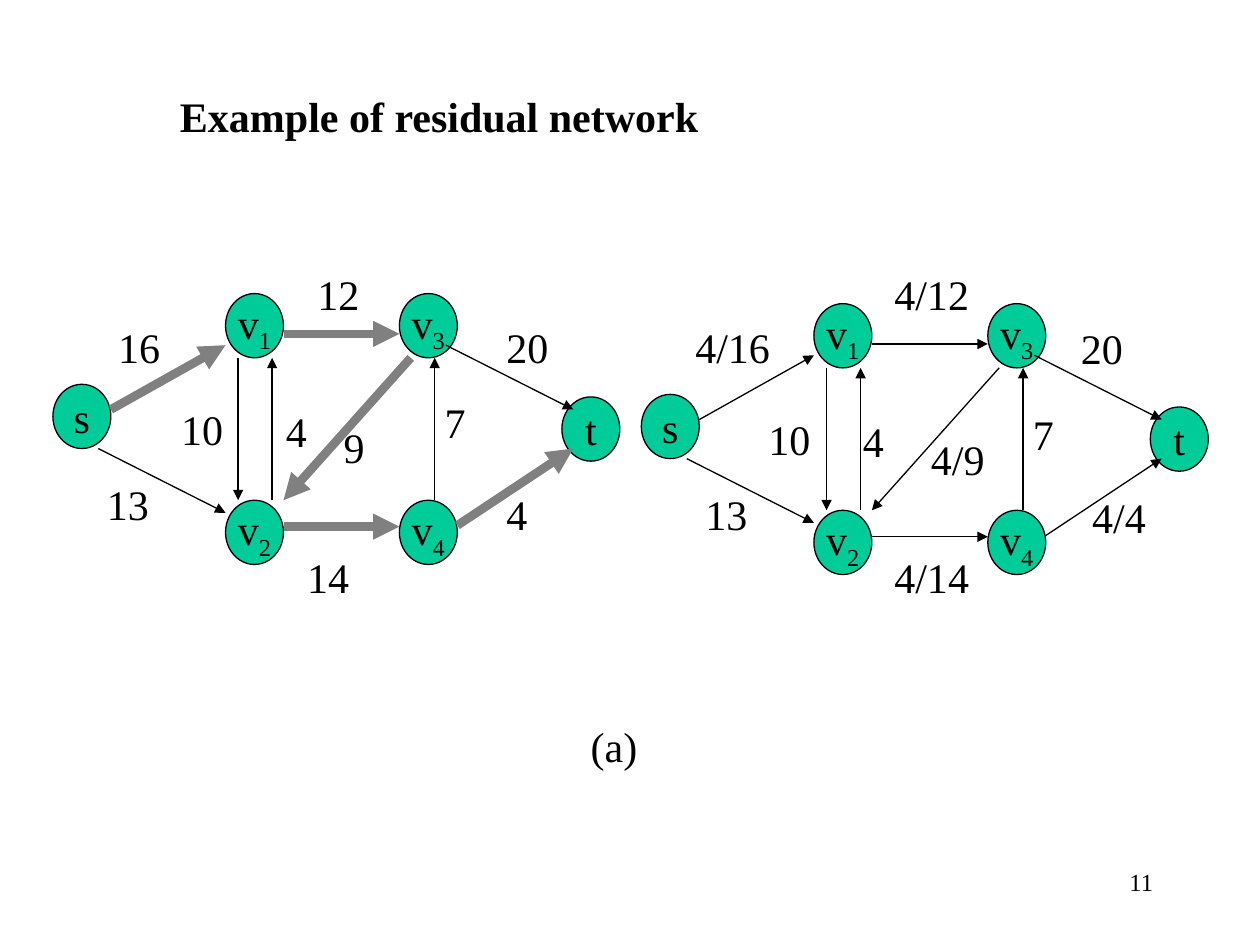
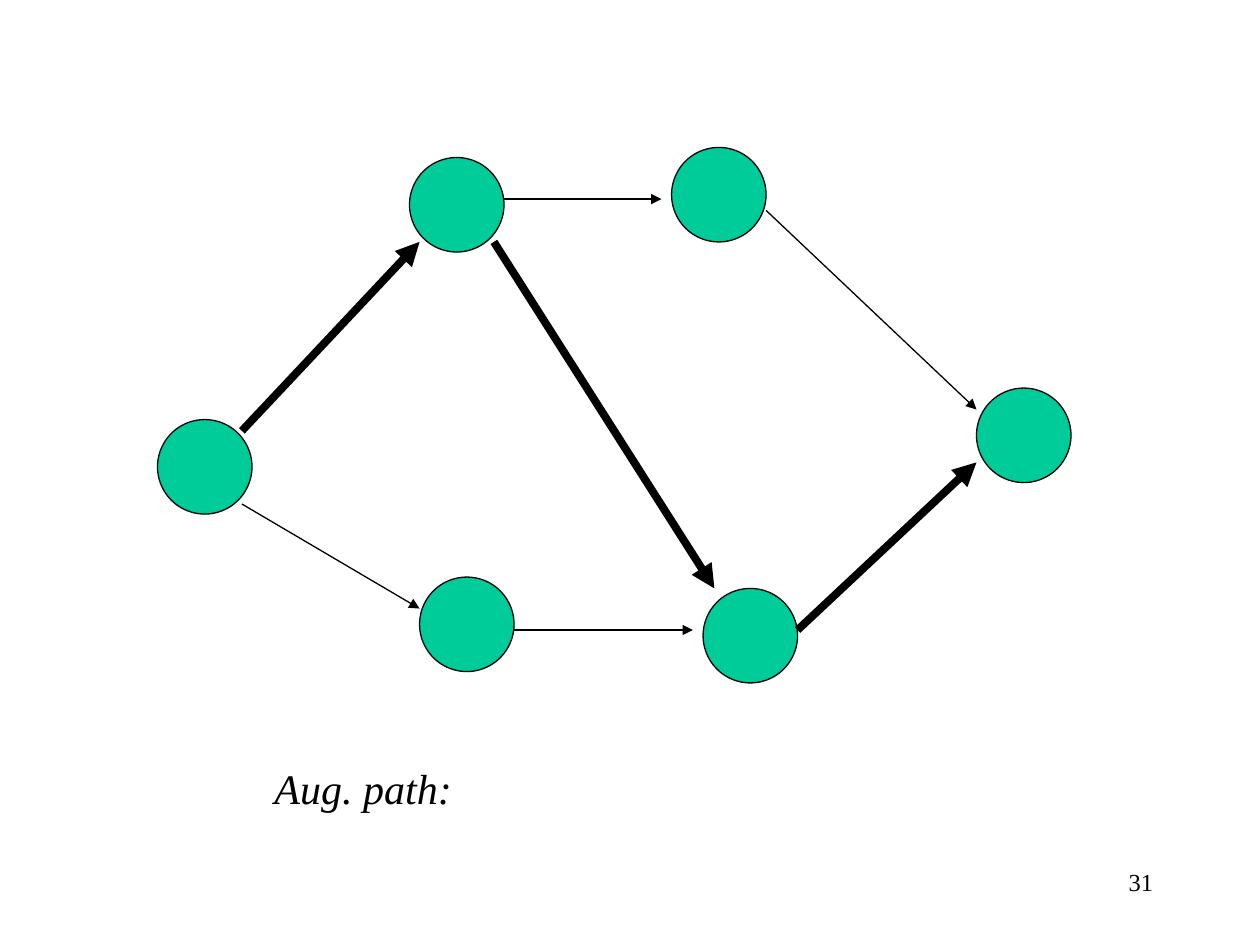
from lxml import etree
from pptx import Presentation
from pptx.dml.color import RGBColor
from pptx.enum.shapes import MSO_CONNECTOR, MSO_SHAPE
from pptx.enum.text import MSO_ANCHOR, MSO_AUTO_SIZE, PP_ALIGN
from pptx.oxml.ns import qn
from pptx.util import Inches, Pt

OVAL = MSO_SHAPE.OVAL
STRAIGHT = MSO_CONNECTOR.STRAIGHT
MIDDLE = MSO_ANCHOR.MIDDLE
FIT_SHAPE = MSO_AUTO_SIZE.SHAPE_TO_FIT_TEXT
LEFT, CENTER, RIGHT = PP_ALIGN.LEFT, PP_ALIGN.CENTER, PP_ALIGN.RIGHT

COLORS = {"ink": "000000", "node": "00CC99", "path": "808080"}
FONT = "Times New Roman"
THIN = 0.75

# Flow network: node positions and edges, relative to the network's origin
NODE_SIZE = (0.46, 0.51)
NODES = {
    "s": (0.42, 3.05), "v1": (1.79, 2.33), "v2": (1.79, 3.97),
    "v3": (3.17, 2.33), "v4": (3.17, 3.97), "t": (4.46, 3.15),
}
EDGES = {
    "s-v1": (0.88, 3.25, 1.79, 2.74), "s-v2": (0.78, 3.56, 1.79, 4.07),
    "v1-v3": (2.25, 2.65, 3.17, 2.65), "v3-t": (3.54, 2.74, 4.55, 3.25),
    "v2-v4": (2.25, 4.18, 3.17, 4.18), "v4-t": (3.63, 4.17, 4.55, 3.56),
    "v1-v2": (1.89, 2.84, 1.89, 3.97), "v2-v1": (2.16, 3.97, 2.16, 2.84),
    "v4-v3": (3.45, 3.97, 3.45, 2.84), "v3-v2": (3.26, 2.84, 2.25, 3.97),
}
AUGMENTING_EDGES = {"s-v1", "v1-v3", "v3-v2", "v2-v4", "v4-t"}
CAPACITY_LABELS = [
    ("16", 0.84, 2.5), ("13", 0.75, 3.75), ("12", 2.42, 2.08),
    ("10", 1.34, 3.15), ("4", 2.17, 3.17), ("9", 2.63, 3.3),
    ("7", 3.43, 3.1), ("20", 3.92, 2.5), ("4", 3.92, 3.83),
    ("14", 2.34, 4.33),
]
FLOW_LABELS = [
    ("4/16", 5.42, 2.5), ("13", 5.5, 3.83), ("4/12", 7, 2.08),
    ("10", 6, 3.23), ("4", 6.75, 3.25), ("4/9", 7.29, 3.39),
    ("7", 8.1, 3.19), ("20", 8.48, 2.51), ("4/4", 8.57, 3.85),
    ("4/14", 7, 4.33),
]

# Augmenting path slide
CIRCLE_SIZE = (0.75, 0.75)
CIRCLES = [(1.25, 3.33), (3.33, 4.58), (3.25, 1.25),
           (7.75, 3.08), (5.58, 4.67), (5.33, 1.17)]
PATH_ARROWS = [(1.92, 3.42, 3.33, 1.92), (3.92, 1.92, 5.67, 4.67),
               (6.33, 5, 7.75, 3.67)]
OTHER_ARROWS = [(1.92, 4, 3.33, 4.83), (4, 1.58, 5.25, 1.58),
                (4.08, 5, 5.5, 5), (6.08, 1.67, 7.75, 3.25)]


def rgb(name):
    return RGBColor.from_string(COLORS[name])


class Deck:
    def __init__(self):
        self.prs = Presentation()
        self.prs.slide_width, self.prs.slide_height = Inches(10), Inches(7.5)
        self.s = None

    def slide(self, number):
        self.s = self.prs.slides.add_slide(self.prs.slide_layouts[6])
        self.text(str(number), 7.17, 6.83, 2.08, size=14, align=RIGHT)

    def style(self, p, size=24, align=LEFT, bold=False, italic=False):
        p.alignment = align
        f = p.font
        f.name, f.size, f.bold, f.italic = FONT, Pt(size), bold, italic
        f.color.rgb = rgb("ink")

    def text(self, text, x, y, w, wrap=True, **style):
        sp = self.s.shapes.add_textbox(Inches(x), Inches(y), Inches(w), Inches(0.5))
        tf = sp.text_frame
        tf.word_wrap = wrap
        tf.auto_size = FIT_SHAPE
        p = tf.paragraphs[0]
        p.add_run().text = text
        self.style(p, **style)

    def label(self, text, x, y):
        """Edge label whose box is as wide as its digits and slashes."""
        width = 0.2 + sum(0.09 if c == "/" else 0.17 for c in text)
        self.text(text, x, y, width, wrap=False)

    def node(self, x, y, size, name=""):
        """Ellipse; the characters after the first of its name are a subscript."""
        w, h = size
        sp = self.s.shapes.add_shape(OVAL, Inches(x), Inches(y), Inches(w), Inches(h))
        sp.shadow.inherit = False
        sp.fill.solid()
        sp.fill.fore_color.rgb = rgb("node")
        sp.line.color.rgb = rgb("ink")
        sp.line.width = Pt(THIN)
        if not name:
            return
        tf = sp.text_frame
        tf.word_wrap = False
        tf.vertical_anchor = MIDDLE
        p = tf.paragraphs[0]
        p.add_run().text = name[0]
        if name[1:]:
            r = p.add_run()
            r.text = name[1:]
            r._r.get_or_add_rPr().set("baseline", "-25000")
        self.style(p, align=CENTER)

    def arrow(self, points, width=THIN, color="ink"):
        cn = self.s.shapes.add_connector(STRAIGHT, *(Inches(v) for v in points))
        cn.line.color.rgb = rgb(color)
        cn.line.width = Pt(width)
        etree.SubElement(cn.line._get_or_add_ln(), qn("a:tailEnd"), type="triangle")
        etree.SubElement(cn._element.spPr, qn("a:effectLst"))

    def network(self, dx, dy, labels, highlighted=()):
        for name, (x, y) in NODES.items():
            self.node(x + dx, y + dy, NODE_SIZE, name)
        for edge, (x1, y1, x2, y2) in EDGES.items():
            look = (5, "path") if edge in highlighted else (THIN, "ink")
            self.arrow((x1 + dx, y1 + dy, x2 + dx, y2 + dy), *look)
        for label in labels:
            self.label(*label)


def main():
    deck = Deck()

    deck.slide(11)
    deck.text("Example of residual network", 1.33, 0.67, 7, bold=True)
    deck.network(0, 0, CAPACITY_LABELS, AUGMENTING_EDGES)
    deck.network(4.67, 0.08, FLOW_LABELS)
    deck.text("(a)", 4.59, 5.67, 0.57, wrap=False)

    deck.slide(31)
    for x, y in CIRCLES:
        deck.node(x, y, CIRCLE_SIZE)
    for points in PATH_ARROWS:
        deck.arrow(points, 4.5)
    for points in OTHER_ARROWS:
        deck.arrow(points)
    deck.text("Aug. path:", 2.08, 6, 6.58, italic=True)

    deck.prs.save("out.pptx")


if __name__ == "__main__":
    main()
